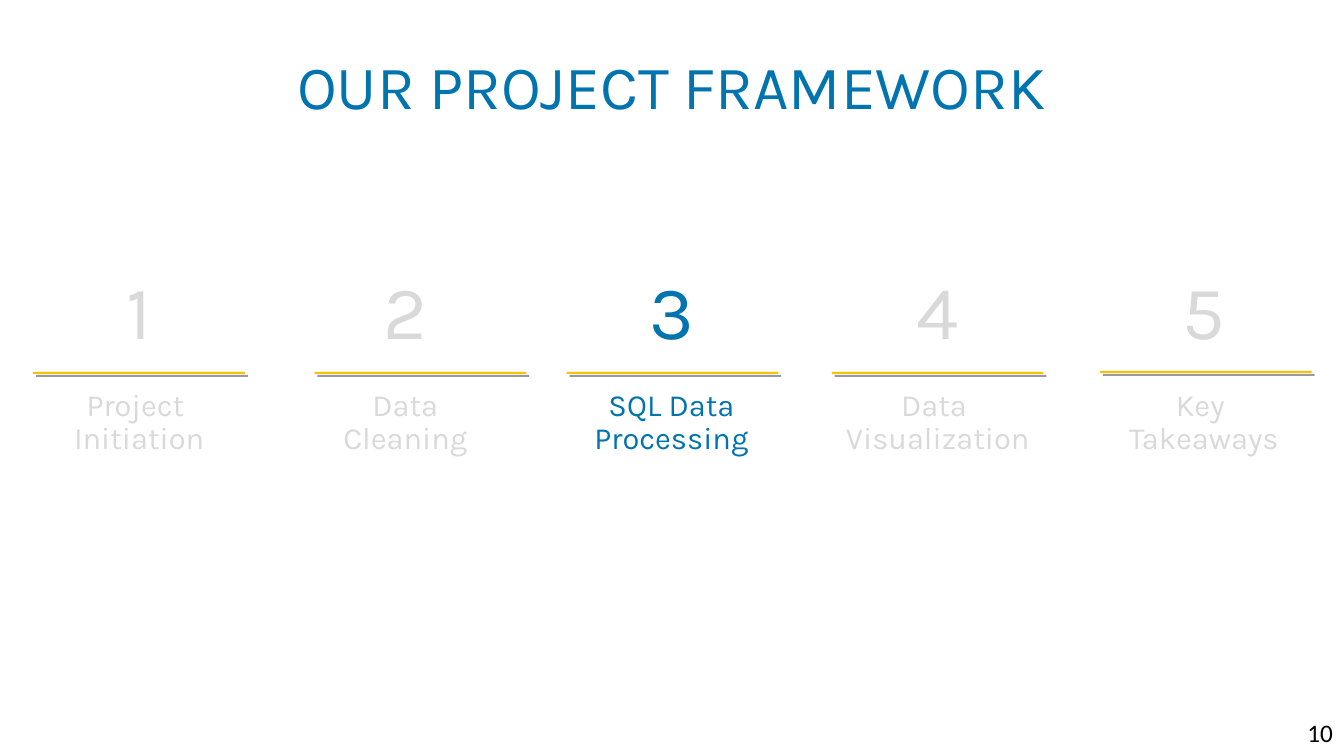
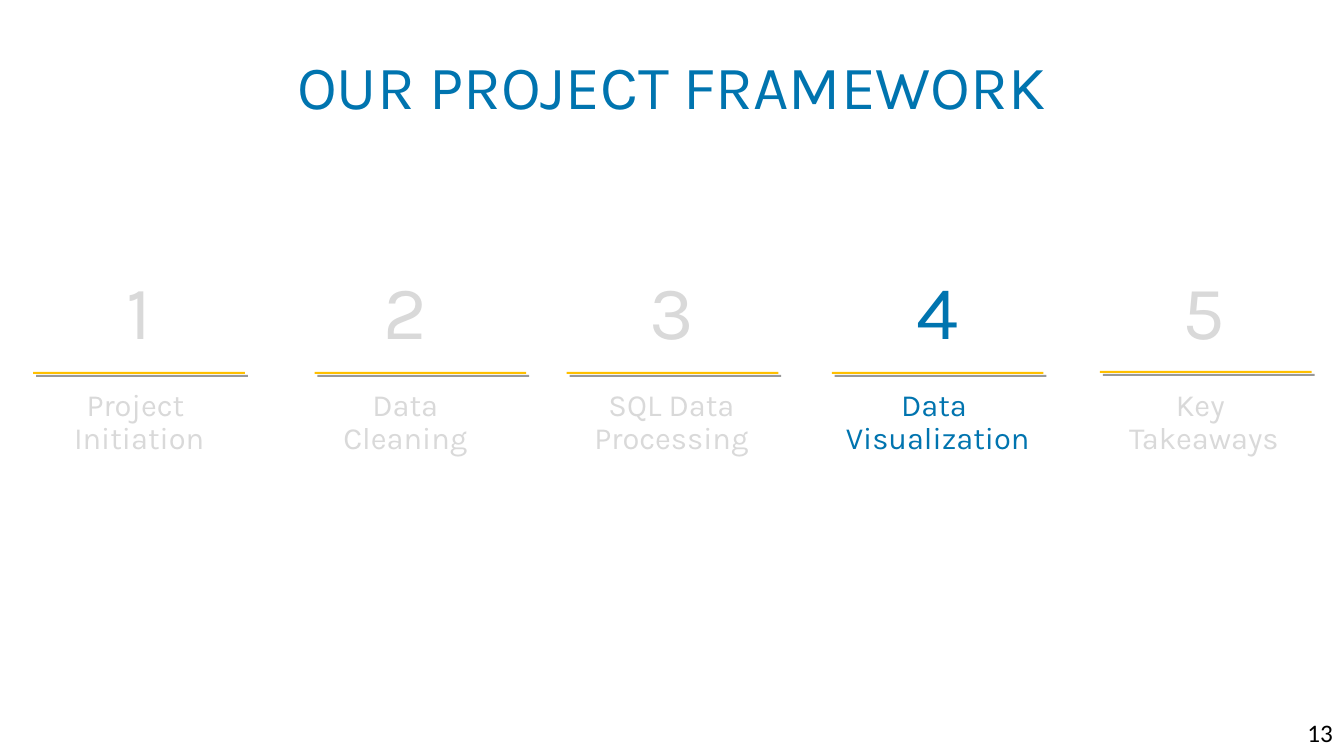
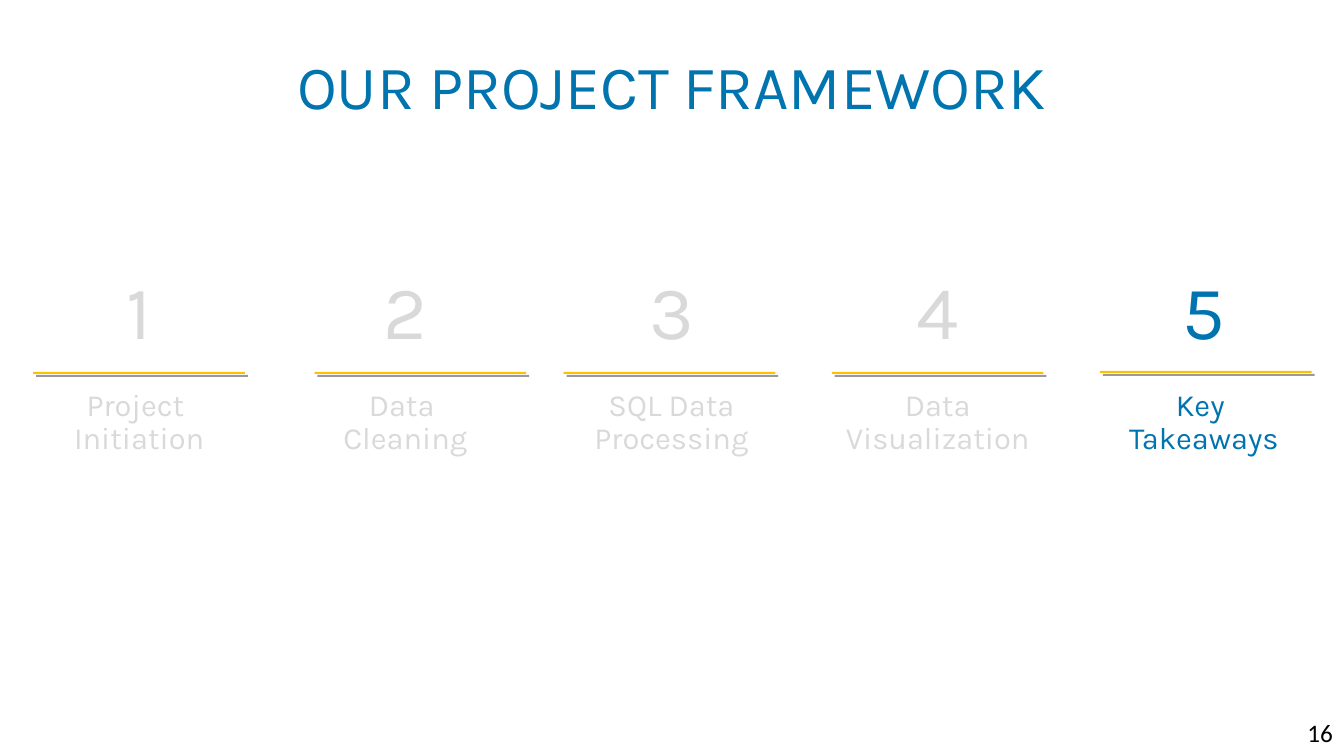
from lxml import etree
from pptx import Presentation
from pptx.dml.color import RGBColor
from pptx.enum.shapes import MSO_SHAPE
from pptx.enum.text import MSO_ANCHOR, MSO_AUTO_SIZE, PP_ALIGN
from pptx.oxml.ns import qn
from pptx.util import Inches, Pt

RECT = MSO_SHAPE.RECTANGLE
TOP, MIDDLE = MSO_ANCHOR.TOP, MSO_ANCHOR.MIDDLE
CENTER, RIGHT = PP_ALIGN.CENTER, PP_ALIGN.RIGHT
NO_FIT = MSO_AUTO_SIZE.NONE

WIDTH, HEIGHT = 13.33, 7.5
BLUE, GREY, GOLD, BLACK = "0074AF", "D9D9D9", "FFC000", "000000"
FONT, NUMBER_FONT = "Karla", "Calibri"

TITLE = "OUR PROJECT FRAMEWORK"
STEPS = ["Project \nInitiation", "Data\nCleaning", "SQL Data Processing",
         "Data \nVisualization", "Key \nTakeaways"]
RULES = [(0.33, 3.69), (3.12, 3.69), (5.62, 3.69), (8.25, 3.69), (10.91, 3.68)]
SLIDES = [
    {"number": "10", "active": 3},
    {"number": "13", "active": 4},
    {"number": "16", "active": 5,
     "labels": {2: "Data \nCleaning", 4: "Data\nVisualization"},
     "rules": {3: (5.59, 3.69)}},
]

COL_LEFT, COL_STEP, COL_WIDTH = 0.08, 2.64, 2.6
NUMERAL_TOP, NUMERAL_HEIGHT = 2.67, 0.92
LABEL_TOP, LABEL_HEIGHT = 3.82, 0.77
RULE_WIDTH, RULE_HEIGHT = 2.1, 0.02


def rgb(value):
    return RGBColor.from_string(value)


def set_text(sp, text, size, color, font=FONT, align=CENTER, anchor=TOP,
             inset=0.1, spacing=0.9, wrap=True):
    tf = sp.text_frame
    tf.auto_size = NO_FIT
    tf.word_wrap = wrap
    tf.vertical_anchor = anchor
    tf.margin_left = tf.margin_right = Inches(inset)
    tf.margin_top = tf.margin_bottom = Inches(0.05)
    p = tf.paragraphs[0]
    p.text = text
    p.alignment = align
    p.line_spacing = spacing
    p.font.name = font
    p.font.size = Pt(size)
    p.font.color.rgb = rgb(color)


def add_text(s, x, y, w, h, *args, **style):
    sp = s.shapes.add_textbox(Inches(x), Inches(y), Inches(w), Inches(h))
    set_text(sp, *args, **style)


def add_title(s):
    sp = s.shapes.title
    sp.left, sp.top = 0, Inches(0.51)
    sp.width, sp.height = Inches(WIDTH), Inches(0.77)
    set_text(sp, TITLE, 44, BLUE)


def add_rule(s, x, y):
    sp = s.shapes.add_shape(RECT, Inches(x), Inches(y),
                            Inches(RULE_WIDTH), Inches(RULE_HEIGHT))
    sp.fill.solid()
    sp.fill.fore_color.rgb = rgb(GOLD)
    sp.line.fill.background()
    sp.shadow.inherit = False
    effects = sp._element.spPr.find(qn("a:effectLst"))
    shadow = etree.SubElement(effects, qn("a:outerShdw"), blurRad="0",
                              dist=str(Pt(3)), dir=str(45 * 60000),
                              algn="tl", rotWithShape="0")
    color = etree.SubElement(shadow, qn("a:srgbClr"), val=BLACK)
    etree.SubElement(color, qn("a:alpha"), val="40000")


def add_framework(prs, number, active, labels={}, rules={}):
    s = prs.slides.add_slide(prs.slide_layouts[5])
    add_title(s)
    for i, (label, rule) in enumerate(zip(STEPS, RULES), 1):
        x = COL_LEFT + (i - 1) * COL_STEP
        color = BLUE if i == active else GREY
        add_text(s, x, NUMERAL_TOP, COL_WIDTH, NUMERAL_HEIGHT,
                 str(i), 54, color, inset=0.16)
        add_text(s, x, LABEL_TOP, COL_WIDTH, LABEL_HEIGHT,
                 labels.get(i, label), 22, color, inset=0.16)
        add_rule(s, *rules.get(i, rule))
    add_text(s, 12.85, 7.07, 0.47, 0.4, number, 18, BLACK, font=NUMBER_FONT,
             align=RIGHT, anchor=MIDDLE, spacing=1.0, wrap=False)


def main():
    prs = Presentation()
    prs.slide_width, prs.slide_height = Inches(WIDTH), Inches(HEIGHT)
    for slide in SLIDES:
        add_framework(prs, **slide)
    prs.save("out.pptx")


if __name__ == "__main__":
    main()
